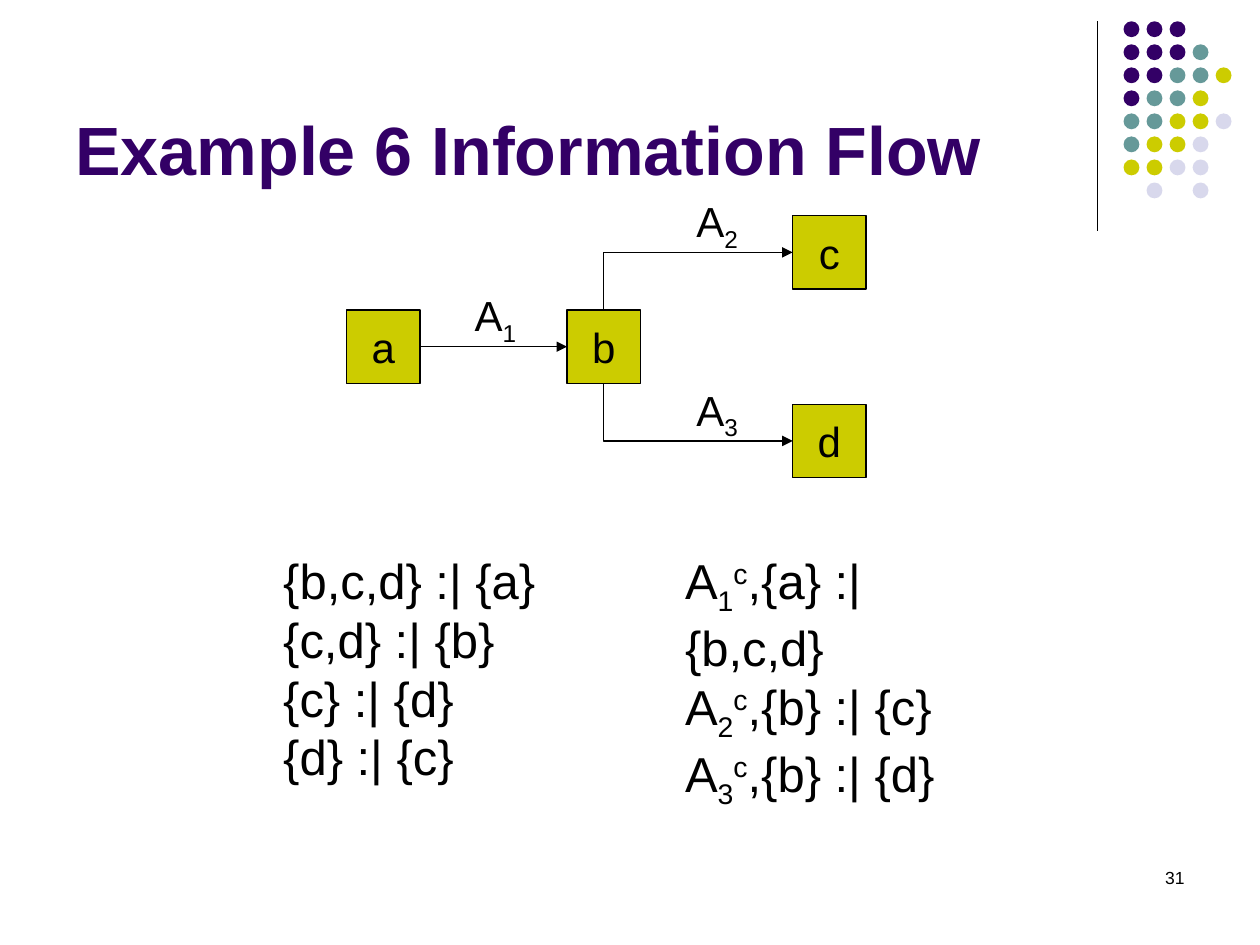
from dataclasses import dataclass

from lxml import etree
from pptx import Presentation
from pptx.dml.color import RGBColor
from pptx.enum.shapes import MSO_CONNECTOR, MSO_SHAPE
from pptx.enum.text import MSO_ANCHOR, PP_ALIGN
from pptx.oxml.ns import qn
from pptx.util import Cm, Pt

RECT, OVAL = MSO_SHAPE.RECTANGLE, MSO_SHAPE.OVAL
STRAIGHT, ELBOW = MSO_CONNECTOR.STRAIGHT, MSO_CONNECTOR.ELBOW
LEFT, CENTER, RIGHT = PP_ALIGN.LEFT, PP_ALIGN.CENTER, PP_ALIGN.RIGHT
TOP, MIDDLE, BOTTOM = MSO_ANCHOR.TOP, MSO_ANCHOR.MIDDLE, MSO_ANCHOR.BOTTOM
TOP_SIDE, LEFT_SIDE, LOW_SIDE, RIGHT_SIDE = range(4)


@dataclass(frozen=True)
class Theme:
    font: str = "Arial"
    ink: str = "000000"
    purple: str = "330066"
    teal: str = "669999"
    lime: str = "CCCC00"
    mist: str = "D8D8EC"
    title: float = 39
    rule: float = 28
    node: float = 24
    page: float = 10
    line: float = 0.75


THEME = Theme()
BOX = 1.48
MID_ROW, ROW_GAP = 6.25, 1.9
SUB, SUPER = "-25000", "30000"
DOTS = ["PPP", "PPPT", "PPTTL", "PTTL", "TTLLM", "TLLM", "LLMM", " M M"]


def rgb(code):
    return RGBColor.from_string(code)


def write(frame, lines, size, color=THEME.ink, align=LEFT, bold=False):
    """Fill a frame; each line is a list of (text, baseline) pairs."""
    for i, line in enumerate(lines):
        para = frame.paragraphs[0] if i == 0 else frame.add_paragraph()
        para.alignment = align
        para.font.name = THEME.font
        para.font.size = Pt(size)
        para.font.bold = bold
        para.font.color.rgb = rgb(color)
        for text, base in line:
            run = para.add_run()
            run.text = text
            if base:
                run.font._element.set("baseline", base)


def add_text(slide, at, lines, size, wrap=False, anchor=TOP, **style):
    frame = slide.shapes.add_textbox(*map(Cm, at)).text_frame
    frame.word_wrap = wrap
    frame.vertical_anchor = anchor
    write(frame, lines, size, **style)


def add_shape(slide, kind, at, fill):
    shape = slide.shapes.add_shape(kind, *map(Cm, at))
    shape.shadow.inherit = False
    shape.fill.solid()
    shape.fill.fore_color.rgb = rgb(fill)
    shape.line.fill.background()
    return shape


def add_node(slide, name, x, y):
    node = add_shape(slide, RECT, (x, y, BOX, BOX), THEME.lime)
    node.line.color.rgb = rgb(THEME.ink)
    node.line.width = Pt(THEME.line)
    frame = node.text_frame
    frame.word_wrap = False
    frame.vertical_anchor = MIDDLE
    write(frame, [[(name, None)]], THEME.node, align=CENTER)
    return node


def add_line(slide, kind=STRAIGHT, ends=(0, 0, 0, 0)):
    line = slide.shapes.add_connector(kind, *map(Cm, ends))
    line.line.color.rgb = rgb(THEME.ink)
    line.line.width = Pt(THEME.line)
    etree.SubElement(line._element.spPr, qn("a:effectLst"))
    return line


def add_arrow(slide, start, side, end, kind=STRAIGHT):
    """Link a side of one node to the left side of another."""
    arrow = add_line(slide, kind)
    arrow.begin_connect(start, side)
    arrow.end_connect(end, LEFT_SIDE)
    tail = etree.SubElement(arrow.line._get_or_add_ln(), qn("a:tailEnd"))
    tail.set("type", "triangle")
    return arrow


def add_bend(slide, start, side, end):
    """Arrow with one corner: a turned bentConnector2."""
    arrow = add_arrow(slide, start, side, end, ELBOW)
    x1, y1, x2, y2 = arrow.begin_x, arrow.begin_y, arrow.end_x, arrow.end_y
    wide, high = x2 - x1, abs(y2 - y1)
    arrow.left = (x1 + x2 - high) // 2
    arrow.top = (y1 + y2 - wide) // 2
    arrow.width, arrow.height = high, wide
    up = y2 < y1
    props = arrow._element.spPr
    turn = props.find(qn("a:xfrm"))
    turn.set("rot", "5400000" if up else "16200000")
    turn.set("flipH", "1")
    turn.set("flipV", "1" if up else "0")
    props.find(qn("a:prstGeom")).set("prst", "bentConnector2")


def add_dots(slide):
    tones = dict(P=THEME.purple, T=THEME.teal, L=THEME.lime, M=THEME.mist)
    step = 3.25 / 7
    for row, codes in enumerate(DOTS):
        for col, code in enumerate(codes):
            if code in tones:
                at = (22.65 + col * step, 0.43 + row * step, 0.32, 0.32)
                add_shape(slide, OVAL, at, tones[code])


def add_flow(slide):
    high, low = MID_ROW - ROW_GAP, MID_ROW + ROW_GAP
    a = add_node(slide, "a", 6.99, MID_ROW)
    b = add_node(slide, "b", 11.43, MID_ROW)
    c = add_node(slide, "c", 15.98, high)
    d = add_node(slide, "d", 15.98, low)
    add_bend(slide, b, TOP_SIDE, c)
    add_bend(slide, b, LOW_SIDE, d)
    add_arrow(slide, a, RIGHT_SIDE, b)
    for num, x, y in (("1", 9.32, MID_ROW), ("2", 13.79, high),
                      ("3", 13.79, low)):
        add_text(slide, (x, y - 0.53, 1.35, 1.42),
                 [[("A", None), (num, SUB)]], THEME.node)


def add_rules(slide):
    plain = ["{b,c,d} :| {a}", "{c,d} :| {b}", "{c} :| {d}", "{d} :| {c}"]
    add_text(slide, (5.46, 10.97, 5.59, 5),
             [[(text, None)] for text in plain], THEME.rule)
    given = [",{a} :| {b,c,d}", ",{b} :| {c}", ",{b} :| {d}"]
    add_text(slide, (13.56, 10.97, 7.11, 4.32),
             [[("A", None), (str(num), SUB), ("c", SUPER), (text, None)]
              for num, text in enumerate(given, 1)], THEME.rule)


def main():
    deck = Presentation()
    deck.slide_width, deck.slide_height = Cm(25.4), Cm(19.05)
    slide = deck.slides.add_slide(deck.slide_layouts[6])
    add_line(slide, ends=(22.12, 0.43, 22.12, 4.65))
    add_dots(slide)
    add_text(slide, (18.21, 17.35, 5.92, 1.27), [[("31", None)]],
             THEME.page, wrap=True, align=RIGHT)
    add_text(slide, (1.27, 0.33, 20.96, 3.61),
             [[("Example 6 Information Flow", None)]], THEME.title,
             wrap=True, anchor=BOTTOM, color=THEME.purple, bold=True)
    add_flow(slide)
    add_rules(slide)
    deck.save("out.pptx")


if __name__ == "__main__":
    main()
